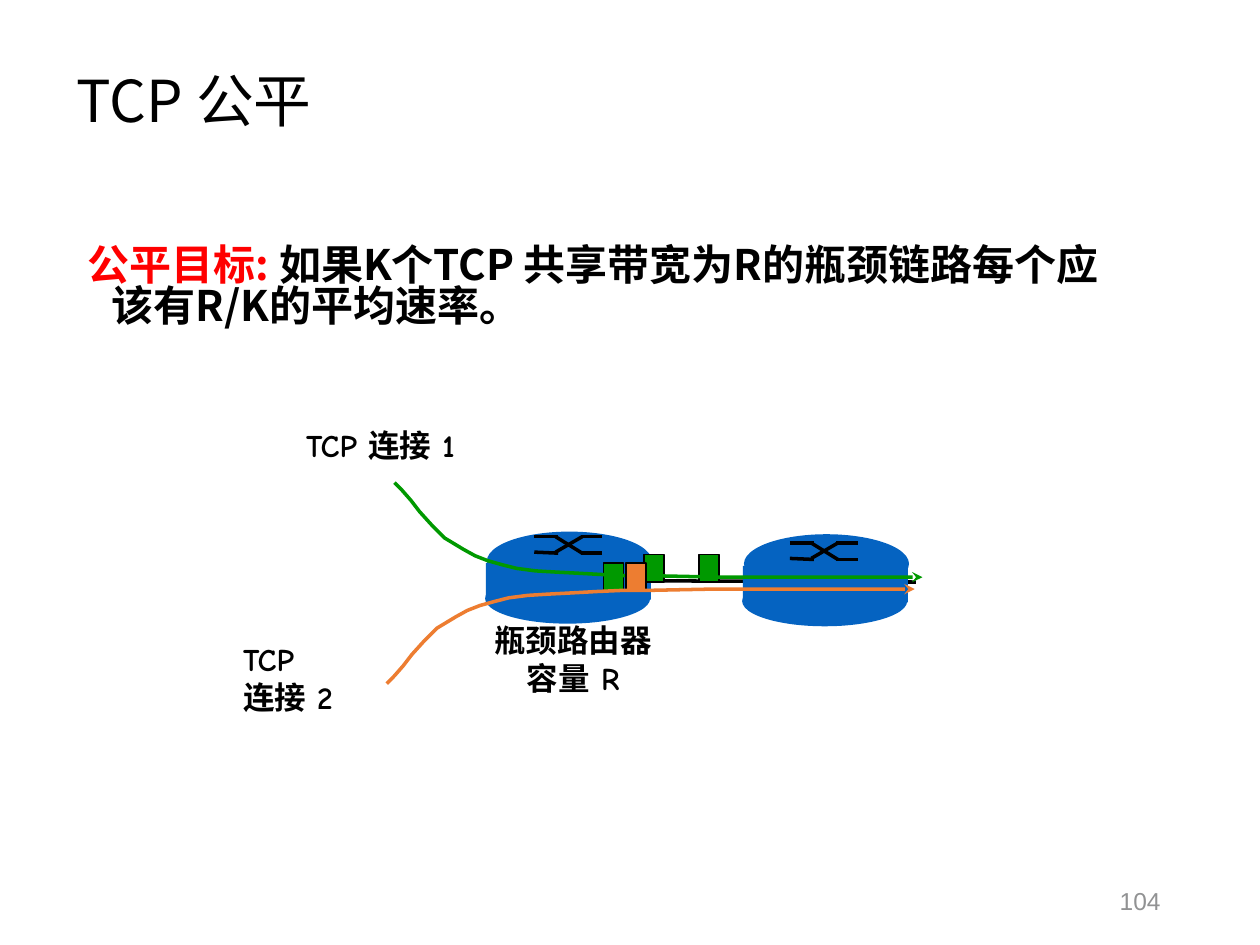
from pptx import Presentation
from pptx.dml.color import RGBColor
from pptx.enum.shapes import MSO_CONNECTOR, MSO_SHAPE
from pptx.enum.text import MSO_ANCHOR, PP_ALIGN
from pptx.oxml.ns import qn
from pptx.util import Pt
from lxml import etree

RECT, OVAL = MSO_SHAPE.RECTANGLE, MSO_SHAPE.OVAL
LINE = MSO_CONNECTOR.STRAIGHT
LEFT, MID, RIGHT = PP_ALIGN.LEFT, PP_ALIGN.CENTER, PP_ALIGN.RIGHT
TOP, CENTER = MSO_ANCHOR.TOP, MSO_ANCHOR.MIDDLE

BLACK = RGBColor(0x00, 0x00, 0x00)
RED = RGBColor(0xFF, 0x00, 0x00)
GRAY = RGBColor(0x91, 0x92, 0x93)
BLUE = RGBColor(0x05, 0x63, 0xC1)
GREEN = RGBColor(0x00, 0x99, 0x00)
ORANGE = RGBColor(0xED, 0x7D, 0x31)

SANS, COMIC, ARIAL = "Noto Sans CJK SC", "Comic Neue", "Arial"

FLOW = [
    (0, 0), (4.3, 4.3), (9.4, 10.1), (14.4, 16.6), (20.9, 23.8),
    (28.8, 31.7), (39.6, 38.2), (46.1, 41.8), (53.3, 44.6), (61.2, 46.8),
    (69.8, 49), (80.6, 50.4), (92.2, 51.1), (105.8, 51.8), (120.2, 52.6),
    (136.1, 53.3), (152.6, 53.3), (186.5, 54), (301.7, 54),
]
CROSS = [
    (0, 0, 13.7, 0), (26.6, 9.4, 38.9, 9.4), (12.2, 0, 27.4, 9.4),
    (0, 8.8, 13.7, 9.4), (26.6, 0, 38.9, 0), (12.2, 8.8, 27.4, 0),
]


class Deck:
    def __init__(self, wide, high):
        self.file = Presentation()
        self.file.slide_width, self.file.slide_height = Pt(wide), Pt(high)
        self.slide = self.file.slides.add_slide(self.file.slide_layouts[5])
        self.shapes = self.slide.shapes

    def run(self, para, text, size, font, color, bold=False):
        run = para.add_run()
        run.text = text
        face = run.font
        face.size, face.name, face.bold = Pt(size), font, bold
        face.color.rgb = color
        east = etree.SubElement(run._r.get_or_add_rPr(), qn("a:ea"))
        east.set("typeface", font)

    def title(self, box, text):
        head = self.shapes.title
        head.left, head.top, head.width, head.height = map(Pt, box)
        frame = head.text_frame
        frame.vertical_anchor = CENTER
        para = frame.paragraphs[0]
        para.alignment, para.line_spacing = LEFT, 0.9
        self.run(para, text, 33, SANS, BLACK)

    def text(self, box, lines, align=LEFT, anchor=TOP, wrap=False):
        frame = self.shapes.add_textbox(*map(Pt, box)).text_frame
        frame.word_wrap, frame.vertical_anchor = wrap, anchor
        for spot, runs in enumerate(lines):
            para = frame.add_paragraph() if spot else frame.paragraphs[0]
            para.alignment = align
            for item in runs:
                self.run(para, *item)
        return frame

    def label(self, box, lines, align=LEFT):
        self.text(box, [[(line, 18, COMIC, BLACK, True)] for line in lines], align)

    def shape(self, kind, box, fill, edge=None):
        item = self.shapes.add_shape(kind, *map(Pt, box))
        item.shadow.inherit = False
        item.fill.solid()
        item.fill.fore_color.rgb = fill
        if edge is None:
            item.line.fill.background()
        else:
            item.line.color.rgb, item.line.width = edge, Pt(1)

    def line(self, ends, width=2):
        item = self.shapes.add_connector(LINE, *map(Pt, ends))
        item.line.color.rgb, item.line.width = BLACK, Pt(width)
        etree.SubElement(item._element.spPr, qn("a:effectLst"))

    def router(self, x, y):
        self.shape(OVAL, (x, y + 23.8, 94.3, 28.8), BLUE)
        self.shape(RECT, (x + 0.4, y + 18, 94.3, 20.9), BLUE)
        self.shape(OVAL, (x + 1, y, 94.3, 33.8), BLUE)

    def cross(self, x, y):
        for x1, y1, x2, y2 in CROSS:
            self.line((x + x1, y + y1, x + x2, y + y2))

    def packet(self, x, y, color):
        self.shape(RECT, (x, y, 11.5, 15.8), color, BLACK)

    def curve(self, x, y, sign, color):
        spots = [(Pt(x + dx), Pt(y + sign * dy)) for dx, dy in FLOW]
        path = self.shapes.build_freeform(*spots[0])
        path.add_line_segments(spots[1:], close=False)
        item = path.convert_to_shape()
        item.shadow.inherit = False
        item.fill.background()
        item.line.color.rgb, item.line.width = color, Pt(2)
        tail = etree.SubElement(item.line._get_or_add_ln(), qn("a:tailEnd"))
        tail.set("type", "stealth")


def main():
    deck = Deck(720, 540)
    deck.title((36.7, 14.4, 612, 90), "TCP 公平")
    goal = deck.text((43.2, 138, 599.8, 172.8), [[
        ("公平目标: ", 24, SANS, RED, True),
        ("如果K个TCP 共享带宽为R的瓶颈链路每个应该有R/K的平均速率。", 24, SANS, BLACK, True),
    ]], wrap=True)
    para = goal.paragraphs[0]
    para.line_spacing = 0.82
    props = para._p.get_or_add_pPr()
    props.set("marL", str(Pt(13.7)))
    props.set("indent", str(Pt(-13.7)))
    deck.text((508.3, 500.4, 162, 28.8), [[("104", 14, ARIAL, GRAY)]], RIGHT, CENTER, True)

    deck.line((370.8, 331.9, 523.4, 332.6))
    deck.router(277.2, 303.8)
    deck.cross(305.3, 306.7)
    deck.line((424.8, 326.9, 424.8, 344.9), 1)
    deck.router(424.1, 305.3)
    for x, y in ((399.6, 316.8), (344.9, 321.8), (367.9, 316.8)):
        deck.packet(x, y, GREEN)
    deck.label((167.8, 239.8, 110.2, 28.8), ["TCP 连接 1"])
    deck.label((275, 351.4, 105.1, 50.4), ["瓶颈路由器", "容量 R"], MID)
    deck.cross(451.4, 310.3)
    deck.label((131.8, 362.2, 69.8, 50.4), ["TCP", "连接 2"])
    deck.curve(225.4, 275.8, 1, GREEN)
    deck.packet(357.8, 321.8, ORANGE)
    deck.curve(221, 390.6, -1, ORANGE)
    deck.file.save("out.pptx")


if __name__ == "__main__":
    main()
